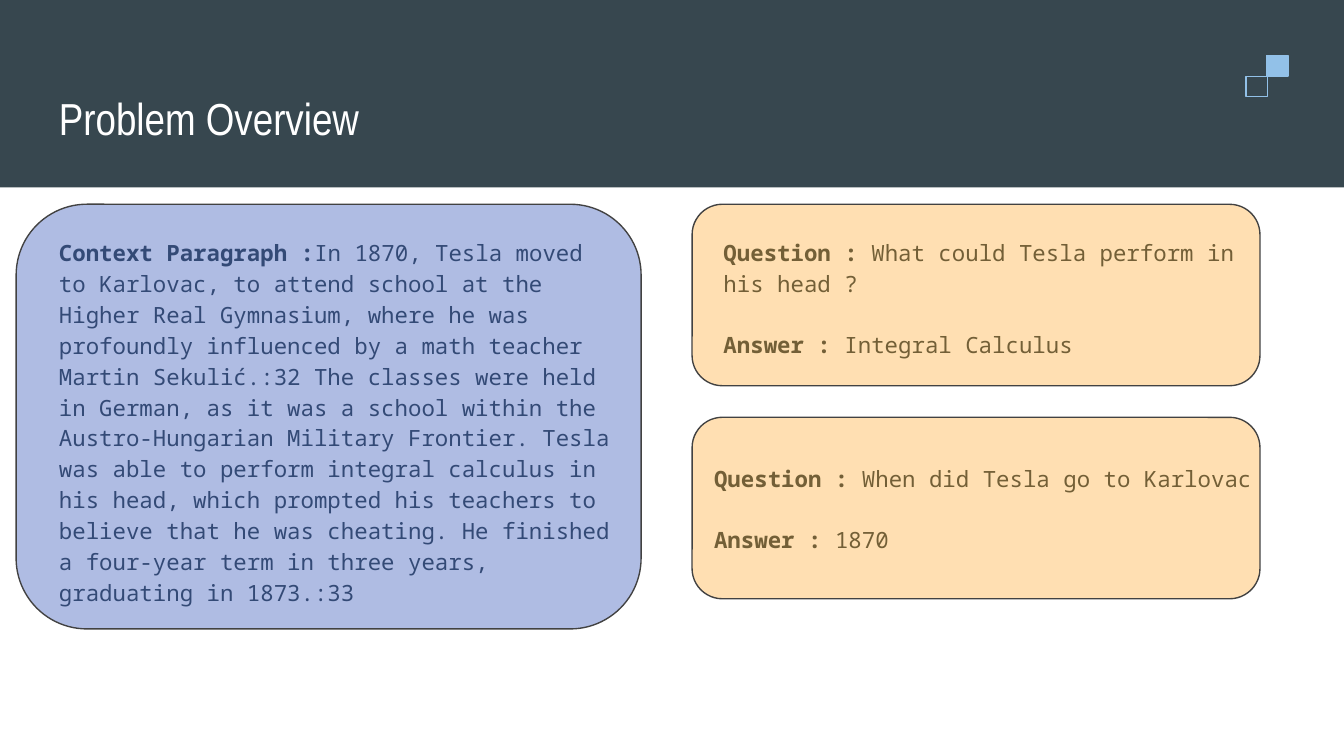
from dataclasses import dataclass

from lxml import etree
from pptx import Presentation
from pptx import util as u
from pptx.dml.color import RGBColor
from pptx.enum import shapes, text
from pptx.oxml.ns import qn

PX = u.Inches(1) // 200  # 200 px to the inch
INSET = 20 * PX
COLORS = {
    "slate": "37474F",
    "sky": "92C1E8",
    "white": "FFFFFF",
    "outline": "424242",
    "orange": "FF9800",
    "blue": "2F50B7",
}


@dataclass(frozen=True)
class Area:
    left: int
    top: int
    width: int
    height: int

    def emu(self) -> list[int]:
        return [n * PX for n in (self.left, self.top, self.width, self.height)]


@dataclass(frozen=True)
class Block:
    area: Area
    kind: shapes.MSO_SHAPE = shapes.MSO_SHAPE.RECTANGLE
    fill: str | None = None
    line: str | None = None
    opacity: int = 100


@dataclass(frozen=True)
class Entry:
    label: str
    body: str


@dataclass(frozen=True)
class Passage:
    area: Area
    entries: list[Entry]


def panel(area: Area, fill: str, opacity: int) -> Block:
    return Block(area, shapes.MSO_SHAPE.ROUNDED_RECTANGLE, fill, "outline", opacity)


BANNER = [
    Block(Area(0, 0, 2000, 279), fill="slate"),
    Block(Area(1885, 83, 32, 30), fill="sky", line="sky"),
    Block(Area(1854, 114, 32, 30), line="sky"),
]
CONTEXT = Passage(Area(68, 330, 874, 690), [Entry(
    "Context Paragraph :",
    "In 1870, Tesla moved to Karlovac, to attend school at the Higher Real "
    "Gymnasium, where he was profoundly influenced by a math teacher Martin "
    "Sekulić.:32 The classes were held in German, as it was a school within the "
    "Austro-Hungarian Military Frontier. Tesla was able to perform integral "
    "calculus in his head, which prompted his teachers to believe that he was "
    "cheating. He finished a four-year term in three years, graduating in 1873.:33",
)])
HEAD_QUESTION = Passage(Area(1057, 330, 874, 236), [
    Entry("Question : ", "What could Tesla perform in his head ?"),
    Entry("Answer : ", "Integral Calculus"),
])
KARLOVAC_QUESTION = Passage(Area(1043, 666, 874, 236), [
    Entry("Question : ", "When did Tesla go to Karlovac"),
    Entry("Answer : ", "1870"),
])
# The translucent panels lie over their text and tint it.
CONTENT = [
    CONTEXT,
    HEAD_QUESTION,
    panel(Area(1030, 304, 845, 270), "orange", 30),
    panel(Area(24, 304, 930, 632), "blue", 38),
    KARLOVAC_QUESTION,
    panel(Area(1030, 621, 845, 270), "orange", 30),
]


def rgb(name: str) -> RGBColor:
    return RGBColor.from_string(COLORS[name])


def draw_block(page, block: Block) -> None:
    shape = page.shapes.add_shape(block.kind, *block.area.emu())
    shape.shadow.inherit = False
    if block.fill:
        shape.fill.solid()
        shape.fill.fore_color.rgb = rgb(block.fill)
        if block.opacity < 100:
            color = shape.fill._xPr.find(f".//{qn('a:srgbClr')}")
            etree.SubElement(color, qn("a:alpha"), val=str(block.opacity * 1000))
    else:
        shape.fill.background()
    if block.line:
        shape.line.color.rgb = rgb(block.line)
        shape.line.width = u.Pt(0.75)
    else:
        shape.line.fill.background()


def add_frame(page, area: Area, anchor: text.MSO_ANCHOR):
    frame = page.shapes.add_textbox(*area.emu()).text_frame
    frame.word_wrap = True
    frame.vertical_anchor = anchor
    frame.margin_left = frame.margin_right = INSET
    frame.margin_top = frame.margin_bottom = INSET
    return frame


def add_span(para, words: str, font: str, size: int, color: str, bold: bool = False) -> None:
    span = para.add_run()
    span.text = words
    span.font.name = font
    span.font.size = u.Pt(size)
    span.font.bold = bold
    span.font.color.rgb = rgb(color)


def draw_title(page, words: str) -> None:
    frame = add_frame(page, Area(68, 105, 1762, 140), text.MSO_ANCHOR.MIDDLE)
    add_span(frame.paragraphs[0], words, "Arial Narrow", 24, "white")


def draw_passage(page, passage: Passage) -> None:
    frame = add_frame(page, passage.area, text.MSO_ANCHOR.TOP)
    for index, entry in enumerate(passage.entries):
        para = frame.add_paragraph() if index else frame.paragraphs[0]
        para.line_spacing = 1.15
        if index:
            para.space_before = para.space_after = u.Pt(16)
        add_span(para, entry.label, "Noto Sans Mono", 12, "slate", bold=True)
        add_span(para, entry.body, "Noto Sans Mono", 12, "slate")


def main() -> None:
    deck = Presentation()
    deck.slide_width, deck.slide_height = 2000 * PX, 1125 * PX
    page = deck.slides.add_slide(deck.slide_layouts[6])
    for block in BANNER:
        draw_block(page, block)
    draw_title(page, "Problem Overview")
    for item in CONTENT:
        if isinstance(item, Passage):
            draw_passage(page, item)
        else:
            draw_block(page, item)
    deck.save("out.pptx")


if __name__ == "__main__":
    main()
